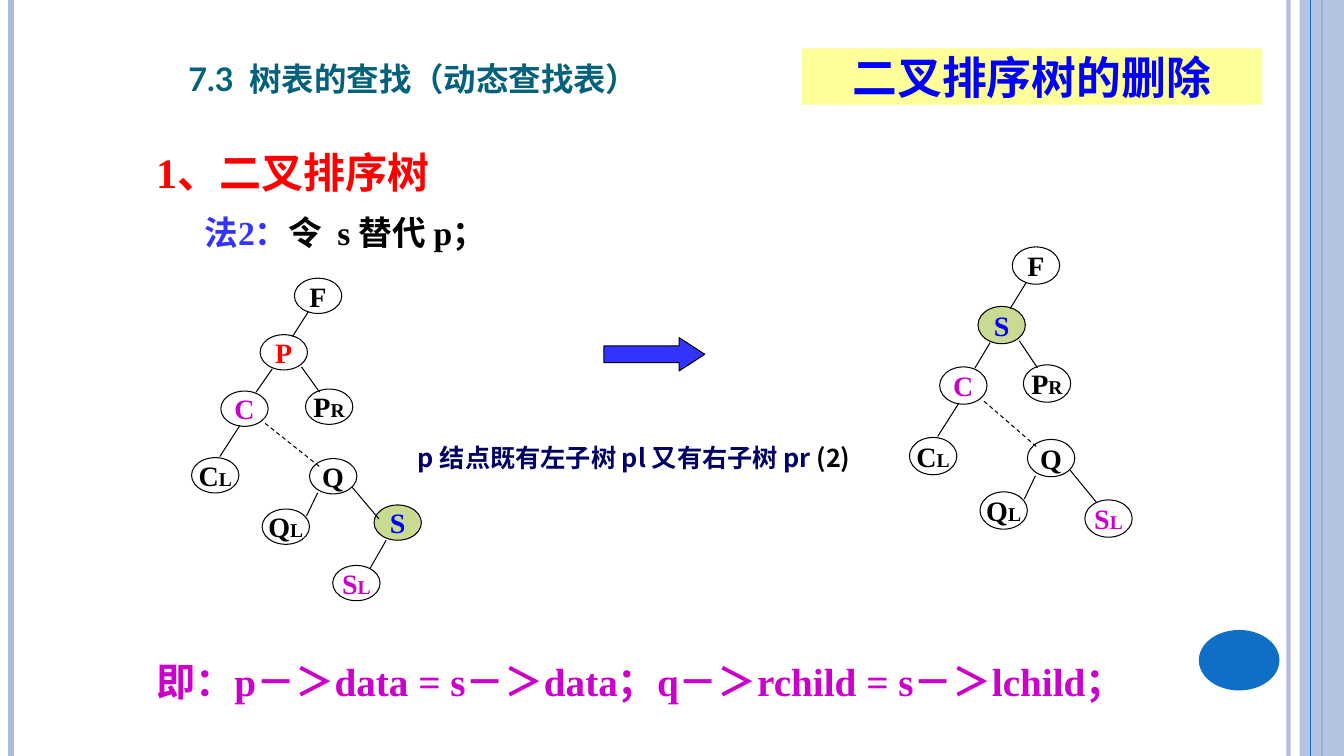
from dataclasses import dataclass

from lxml.etree import SubElement
from pptx import Presentation
from pptx.dml.color import RGBColor
from pptx.enum.dml import MSO_LINE
from pptx.enum.shapes import MSO_CONNECTOR, MSO_SHAPE
from pptx.enum.text import MSO_ANCHOR, MSO_AUTO_SIZE, PP_ALIGN
from pptx.oxml.ns import qn
from pptx.util import Emu, Pt


@dataclass(frozen=True)
class Theme:
    black: str = "000000"
    red: str = "FF0000"
    blue: str = "0000FF"
    indigo: str = "3333FF"
    navy: str = "000066"
    magenta: str = "CC00CC"
    teal: str = "04617B"
    yellow: str = "FFFF99"
    green: str = "C9DA92"
    rail: str = "ABBBDF"
    accent: str = "0F6FC6"
    serif: str = "Times New Roman"
    sans: str = "Noto Sans CJK SC"
    title_font: str = "Lato"
    banner: int = 32
    heading: int = 30
    title: int = 29
    formula: int = 28
    method: int = 24
    node: int = 20
    caption: int = 18
    subscript: int = 14


THEME = Theme()
PX = 9144
NODE_WIDTH = 47


class Slide:
    def __init__(self, deck, theme):
        self.theme = theme
        self.page = deck.slides.add_slide(deck.slide_layouts[6])
        self.shapes = self.page.shapes

    def group(self):
        return self.page.shapes.add_group_shape().shapes

    def alpha(self, fill, percent):
        color = fill._xPr.find(qn("a:solidFill"))[0]
        SubElement(color, qn("a:alpha"), val=str(percent * 1000))

    def fill_text(self, box, spans, size, font, align=PP_ALIGN.LEFT, anchor=MSO_ANCHOR.TOP):
        frame = box.text_frame
        frame.word_wrap = True
        frame.vertical_anchor = anchor
        para = frame.paragraphs[0]
        para.alignment = align
        for text, color, *other_size in spans:
            span = para.add_run()
            span.text = text
            span.font.size = Pt(other_size[0] if other_size else size)
            span.font.bold = True
            span.font.name = font
            span.font.color.rgb = RGBColor.from_string(color)
            SubElement(span.font._element, qn("a:ea"), typeface=self.theme.sans)
        return para

    def text(self, at, spans, size, font, grow=True, **layout):
        box = self.shapes.add_textbox(*(Emu(v * PX) for v in at))
        para = self.fill_text(box, spans, size, font, **layout)
        if grow:
            box.text_frame.auto_size = MSO_AUTO_SIZE.SHAPE_TO_FIT_TEXT
        return para

    def hang(self, para, indent):
        properties = para._p.get_or_add_pPr()
        properties.set("marL", str(indent * PX))
        properties.set("indent", str(-indent * PX))

    def shape(self, kind, at, fill=None, line=None, shapes=None):
        shape = (shapes or self.shapes).add_shape(kind, *(Emu(v * PX) for v in at))
        shape.shadow.inherit = False
        if fill:
            shape.fill.solid()
            shape.fill.fore_color.rgb = RGBColor.from_string(fill)
        else:
            shape.fill.background()
        if line:
            shape.line.color.rgb = RGBColor.from_string(line)
            shape.line.width = Pt(0.75)
        else:
            shape.line.fill.background()
        return shape

    def line(self, start, end, color, width=0.75, dashed=False, shapes=None):
        points = (Emu(v * PX) for v in (*start, *end))
        line = (shapes or self.shapes).add_connector(MSO_CONNECTOR.STRAIGHT, *points)
        line.line.color.rgb = RGBColor.from_string(color)
        line.line.width = Pt(width)
        if dashed:
            line.line.dash_style = MSO_LINE.DASH
        SubElement(line._element.spPr, qn("a:effectLst"))
        return line

    def node(self, shapes, at, height, label, color, fill):
        oval = self.shape(MSO_SHAPE.OVAL, (*at, NODE_WIDTH, height), fill, self.theme.black, shapes)
        spans = [(label[0], color)]
        if label[1:]:
            spans.append((label[1:], color, self.theme.subscript))
        self.fill_text(oval, spans, self.theme.node, self.theme.serif, PP_ALIGN.CENTER, MSO_ANCHOR.MIDDLE)
        oval.text_frame.word_wrap = False

    def tree(self, height, nodes, edges):
        shapes = self.group()
        places = {}
        for label, x, y, color, fill in nodes:
            places[label] = (x, y)
            self.node(shapes, (x, y), height, label, color, fill)
        for parent, child, (out_x, out_y), (in_x, in_y), dashed in edges:
            (x1, y1), (x2, y2) = places[parent], places[child]
            self.line((x1 + out_x, y1 + height + out_y), (x2 + in_x, y2 + in_y),
                      self.theme.black, dashed=dashed, shapes=shapes)


def tree_edges(top):
    return [
        ("F", top, (14, -2), (32, 2), False),
        (top, "C", (12, -1), (35, 1), False),
        ("C", "CL", (19, -1), (28, -1), False),
        (top, "PR", (41, -3), (14, 3), False),
        ("Q", "QL", (8, -1), (44, 7), False),
        ("C", "Q", (44, -3), (10, 8), True),
    ]


def draw_frame(slide):
    theme = slide.theme
    edge = slide.line((1278, 0), (1278, 750), theme.rail, 3)
    slide.alpha(edge.line.fill, 93)
    slide.line((11, 0), (11, 750), theme.rail, 4.5)
    slide.line((1311, 0), (1311, 750), theme.accent, 1.5)
    band = slide.shape(MSO_SHAPE.RECTANGLE, (1289, 0, 44, 750), theme.rail)
    slide.alpha(band.fill, 87)
    slide.line((1300, 0), (1300, 750), theme.accent)
    slide.shape(MSO_SHAPE.OVAL, (1189, 625, 80, 60), theme.accent)


def draw_headings(slide):
    theme = slide.theme
    title = slide.text((177, 43, 631, 61), [("7.3  树表的查找（动态查找表）", theme.teal)],
                       theme.title, theme.title_font, grow=False, anchor=MSO_ANCHOR.BOTTOM)
    title.runs[0].font._element.set("cap", "small")
    heading = slide.text((145, 115, 522, 86), [("1、二叉排序树", theme.red)], theme.heading, theme.serif)
    heading.line_spacing = 1.5
    slide.hang(heading, 42)
    banner = slide.shape(MSO_SHAPE.RECTANGLE, (795, 48, 457, 56), theme.yellow)
    slide.fill_text(banner, [("二叉排序树的删除", theme.blue)], theme.banner, theme.sans,
                    PP_ALIGN.CENTER, MSO_ANCHOR.MIDDLE)
    method = slide.text((193, 205, 1005, 50), [("法2：", theme.indigo), ("令  s 替代 p；", theme.black)],
                        theme.method, theme.serif)
    slide.hang(method, 83)


def draw_trees(slide):
    theme = slide.theme
    black, magenta = theme.black, theme.magenta
    arrow = slide.shape(MSO_SHAPE.RIGHT_ARROW, (599, 335, 100, 33), theme.indigo, black)
    arrow.adjustments[0], arrow.adjustments[1] = 0.5, 0.77
    before = [
        ("F", 292, 276, black, None),
        ("P", 258, 332, theme.red, None),
        ("C", 219, 388, magenta, None),
        ("PR", 303, 386, black, None),
        ("CL", 190, 454, black, None),
        ("Q", 307, 455, black, None),
        ("QL", 260, 505, black, None),
        ("S", 371, 501, theme.blue, theme.green),
        ("SL", 330, 561, magenta, None),
    ]
    slide.tree(35, before, tree_edges("P") + [
        ("Q", "S", (42, -7), (5, 14), False),
        ("S", "SL", (12, 0), (37, 3), False),
    ])
    after = [
        ("F", 1004, 245, black, None),
        ("S", 970, 304, theme.blue, theme.green),
        ("C", 932, 364, magenta, None),
        ("PR", 1015, 362, black, None),
        ("CL", 902, 434, black, None),
        ("Q", 1019, 436, black, None),
        ("QL", 972, 488, black, None),
        ("SL", 1076, 496, magenta, None),
    ]
    slide.tree(37, after, tree_edges("S") + [("Q", "SL", (42, -7), (12, 3), False)])


def draw_notes(slide):
    theme = slide.theme
    slide.text((398, 434, 462, 40), [("p 结点既有左子树 pl 又有右子树 pr ", theme.navy), ("(2)", theme.black)],
               theme.caption, theme.sans, align=PP_ALIGN.CENTER, anchor=MSO_ANCHOR.MIDDLE)
    slide.text((145, 647, 1059, 57),
               [("即：p－＞data = s－＞data；q－＞rchild = s－＞lchild；", theme.magenta)],
               theme.formula, theme.serif)


def main():
    deck = Presentation()
    deck.slide_width, deck.slide_height = Emu(1333 * PX), Emu(750 * PX)
    slide = Slide(deck, THEME)
    draw_frame(slide)
    draw_headings(slide)
    draw_trees(slide)
    draw_notes(slide)
    deck.save("out.pptx")


if __name__ == "__main__":
    main()
